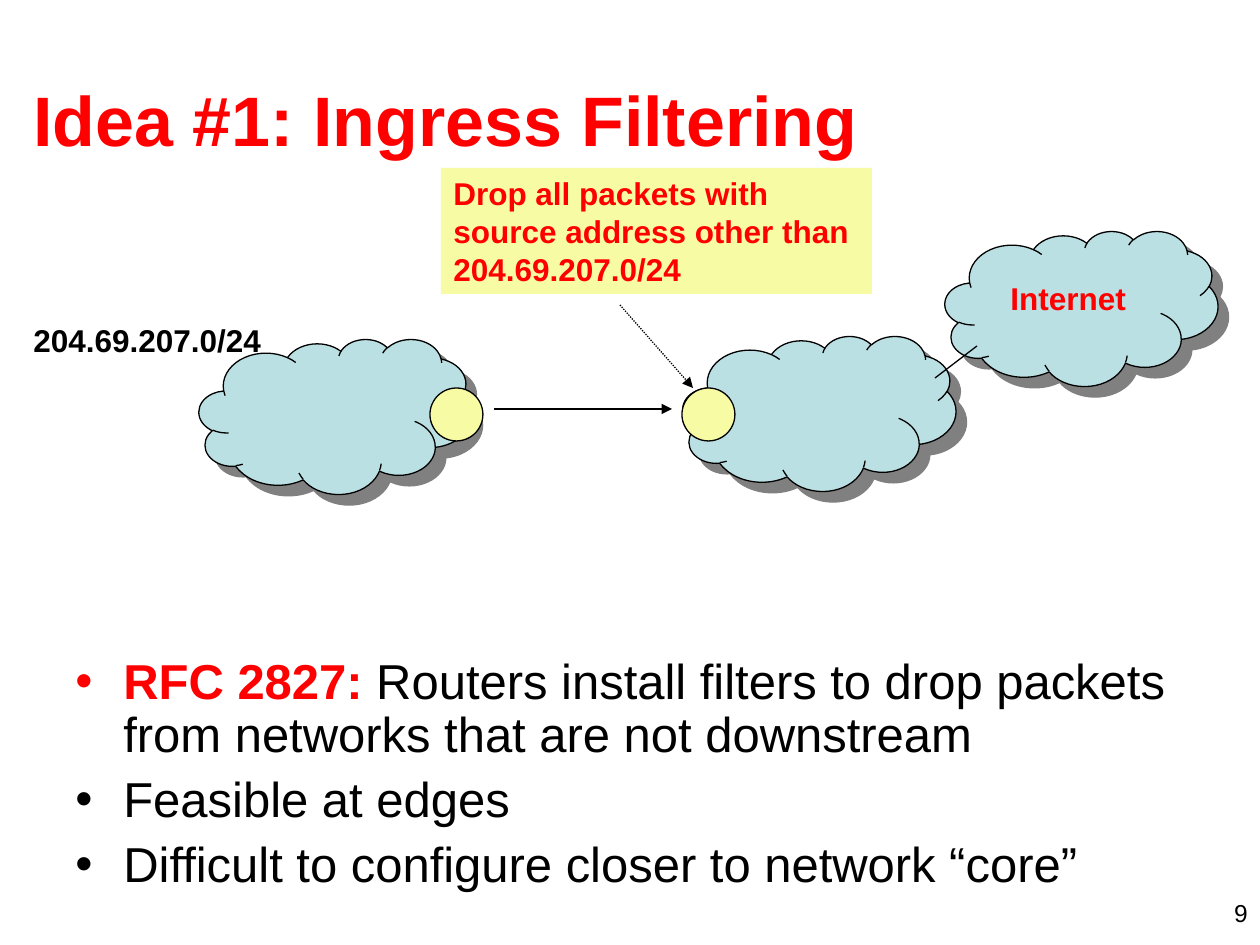
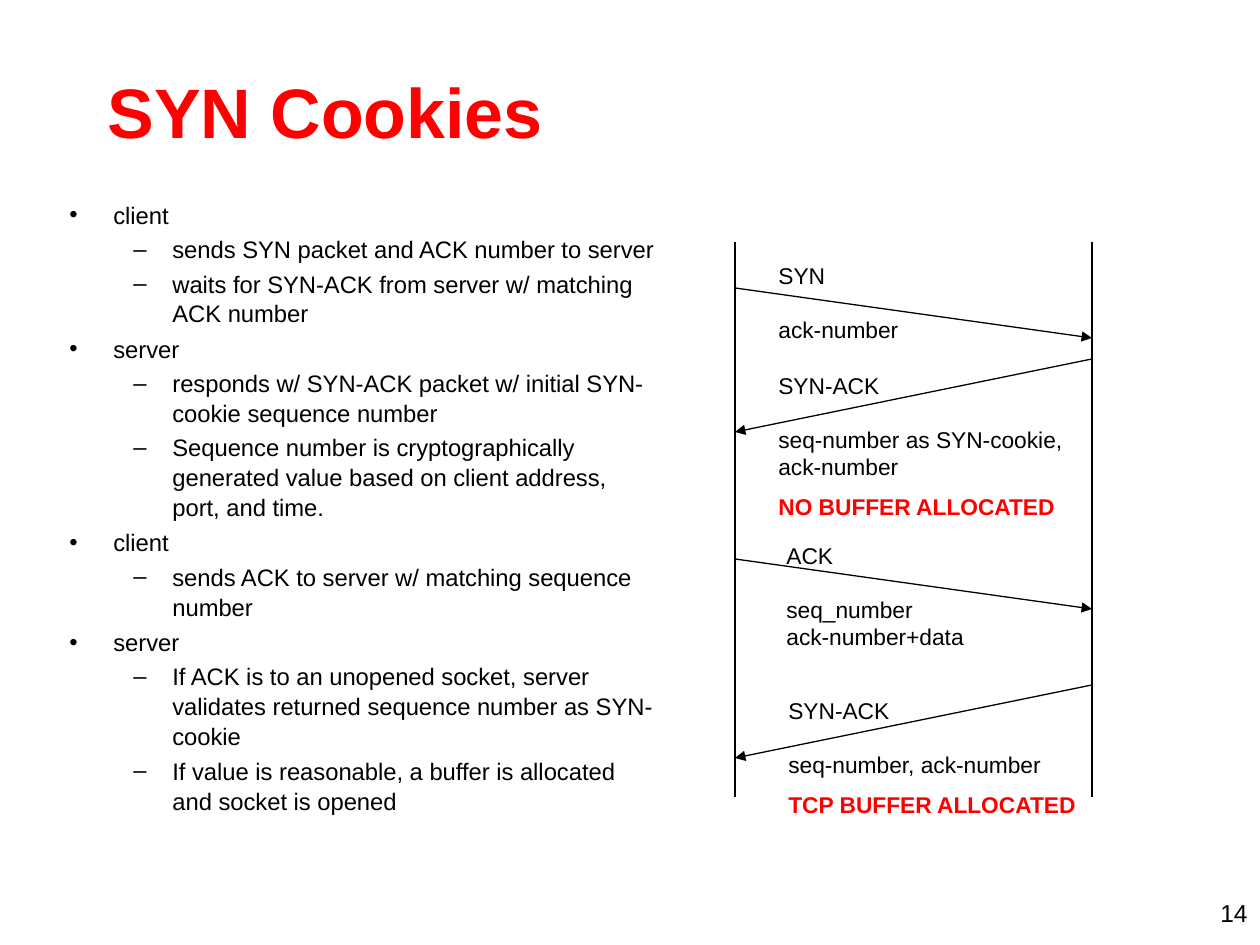
from lxml.etree import SubElement
from pptx import Presentation
from pptx.dml.color import RGBColor
from pptx.enum.dml import MSO_LINE
from pptx.enum.shapes import MSO_CONNECTOR, MSO_SHAPE
from pptx.enum.text import MSO_ANCHOR, PP_ALIGN
from pptx.oxml.ns import qn
from pptx.util import Emu, Pt

PX = 914400 / 126
FONT = "Arial"
RED = RGBColor(0xFF, 0x00, 0x00)
BLACK = RGBColor(0x00, 0x00, 0x00)
CLOUD_BLUE = RGBColor(0xBB, 0xE0, 0xE3)
PALE_YELLOW = RGBColor(0xF7, 0xFB, 0xA3)
SHADOW_GREY = RGBColor(0x80, 0x80, 0x80)

CLOUD_SIZE = (273, 155)
ROUTER_SIZE = (53, 53)
CLIENT_X, SERVER_X = 735, 1092

FILTERING_POINTS = [
    "RFC 2827:",
    "Feasible at edges",
    "Difficult to configure closer to network “core”",
]
RFC_SUMMARY = " Routers install filters to drop packets from networks that are not downstream"

HANDSHAKE_STEPS = [
    ("client", [
        "sends SYN packet and ACK number to server",
        "waits for SYN-ACK from server w/ matching ACK number",
    ]),
    ("server", [
        "responds w/ SYN-ACK packet w/ initial SYN-cookie sequence number",
        "Sequence number is cryptographically generated value based on client address, "
        "port, and time.",
    ]),
    ("client", ["sends ACK to server w/ matching sequence number"]),
    ("server", [
        "If ACK is to an unopened socket, server validates returned sequence number "
        "as SYN-cookie",
        "If value is reasonable, a buffer is allocated and socket is opened",
    ]),
]

MESSAGES = [
    ((766, 258, 158, 92), "SYN", ["ack-number"], None),
    ((766, 368, 325, 159), "SYN-ACK", ["seq-number as SYN-cookie,", "ack-number"],
     "NO BUFFER ALLOCATED"),
    ((774, 538, 243, 120), "ACK", ["seq_number", "ack-number+data"], None),
    ((776, 693, 326, 132), "SYN-ACK", ["seq-number, ack-number"], "TCP BUFFER ALLOCATED"),
]


def px(*lengths):
    """Turn px lengths into a list of EMU lengths."""
    return [Emu(round(length * PX)) for length in lengths]


def style_paragraph(para, size, color=BLACK, bold=False):
    """Format every run of a paragraph."""
    for span in para.runs:
        span.font.name = FONT
        span.font.size = Pt(size)
        span.font.bold = bold
        span.font.color.rgb = color


def fill_frame(frame, lines, size, color=BLACK, bold=False, align=PP_ALIGN.LEFT):
    """Write one paragraph per line in a wrapped frame and format them."""
    frame.word_wrap = True
    frame.text = "\n".join(lines)
    for para in frame.paragraphs:
        para.alignment = align
        style_paragraph(para, size, color, bold)
    return frame.paragraphs


def add_text(page, bounds, lines, size, **style):
    """Add a text box and return its paragraphs."""
    box = page.shapes.add_textbox(*px(*bounds))
    return fill_frame(box.text_frame, lines, size, **style)


def add_bullet(para, mark, margin, hanging, color=BLACK):
    """Give a paragraph a hanging bullet."""
    properties = para._p.get_or_add_pPr()
    margin, hanging = px(margin, hanging)
    properties.set("marL", str(margin))
    properties.set("indent", str(-hanging))
    bullet_color = SubElement(properties, qn("a:buClr"))
    SubElement(bullet_color, qn("a:srgbClr"), val=str(color))
    SubElement(properties, qn("a:buFont"), typeface=FONT)
    SubElement(properties, qn("a:buChar"), char=mark)


def add_page(deck, title, bounds, number):
    """Add a title-only page with its heading and page number."""
    page = deck.slides.add_slide(deck.slide_layouts[5])
    heading = page.shapes.title
    heading.left, heading.top, heading.width, heading.height = px(*bounds)
    heading.text_frame.vertical_anchor = MSO_ANCHOR.MIDDLE
    fill_frame(heading.text_frame, [title], 40, color=RED, bold=True)
    add_text(page, (966, 892, 294, 32), [str(number)], 14, align=PP_ALIGN.RIGHT)
    return page


def add_filled(page, kind, bounds, fill, outlined=True):
    """Add a flat preset shape, with a thin black outline if wanted."""
    shape = page.shapes.add_shape(kind, *px(*bounds))
    shape.shadow.inherit = False
    shape.fill.solid()
    shape.fill.fore_color.rgb = fill
    if outlined:
        shape.line.color.rgb = BLACK
        shape.line.width = Pt(0.75)
    else:
        shape.line.fill.background()
    return shape


def add_cloud(page, left, top):
    """Add a network cloud with a hard grey shadow."""
    cloud = add_filled(page, MSO_SHAPE.CLOUD, (left, top, *CLOUD_SIZE), CLOUD_BLUE)
    effects = cloud._element.spPr.find(qn("a:effectLst"))
    shadow = SubElement(effects, qn("a:outerShdw"), dist=str(Pt(8.5)), dir="2700000",
                        algn="ctr", rotWithShape="0")
    SubElement(shadow, qn("a:srgbClr"), val=str(SHADOW_GREY))


def add_router(page, left, top):
    """Add a round edge router."""
    add_filled(page, MSO_SHAPE.OVAL, (left, top, *ROUTER_SIZE), PALE_YELLOW)


def add_line(page, start, end, arrow=False, dotted=False):
    """Add a thin black line, optionally dotted or with an arrowhead."""
    line = page.shapes.add_connector(MSO_CONNECTOR.STRAIGHT, *px(*start, *end))
    line.line.color.rgb = BLACK
    line.line.width = Pt(0.75)
    if dotted:
        line.line.dash_style = MSO_LINE.ROUND_DOT
    if arrow:
        SubElement(line.line._get_or_add_ln(), qn("a:tailEnd"), type="triangle")
    SubElement(line._element.spPr, qn("a:effectLst"))


def add_message(page, bounds, name, fields, outcome):
    """Add a packet name, its fields below the arrow and a red outcome."""
    lines = [name, *fields] + ([outcome] if outcome else [])
    paragraphs = add_text(page, bounds, lines, 13)
    paragraphs[0].line_spacing = 0.93
    paragraphs[1].space_before = Pt(15)
    if outcome:
        paragraphs[-1].space_before = Pt(7)
        style_paragraph(paragraphs[-1], 13, RED, bold=True)


def add_filtering_points(page):
    """Add the bulleted notes about ingress filtering."""
    paragraphs = add_text(page, (63, 651, 1134, 262), FILTERING_POINTS, 28)
    for index, para in enumerate(paragraphs):
        add_bullet(para, "•", 48, 48, BLACK if index else RED)
        para.line_spacing = 0.9
        if index:
            para.space_before = Pt(7)
    rfc = paragraphs[0]
    rfc.add_run().text = RFC_SUMMARY
    style_paragraph(rfc, 28)
    rfc.runs[0].font.bold = True
    rfc.runs[0].font.color.rgb = RED


def add_handshake_steps(page):
    """Add the two-level list of client and server steps."""
    steps = []
    for party, actions in HANDSHAKE_STEPS:
        steps += [(party, 0)] + [(action, 1) for action in actions]
    paragraphs = add_text(page, (42, 193, 630, 658), [text for text, level in steps], 13.6)
    for index, (para, (text, level)) in enumerate(zip(paragraphs, steps)):
        para.level = level
        if level:
            add_bullet(para, "–", 118, 39)
        else:
            add_bullet(para, "•", 59, 44)
        para.line_spacing = 1.05
        if index:
            para.space_before = Pt(2.5 if level else 3)


def build_filtering_page(deck):
    """Build the page on ingress filtering."""
    page = add_page(deck, "Idea #1: Ingress Filtering", (21, 40, 1207, 158), 9)
    add_filtering_points(page)
    add_cloud(page, 199, 339)
    add_text(page, (21, 315, 262, 50), ["204.69.207.0/24"], 18, bold=True)
    add_router(page, 430, 388)
    add_cloud(page, 683, 336)
    add_router(page, 682, 388)
    add_line(page, (494, 409), (672, 409), arrow=True)
    add_cloud(page, 945, 231)
    add_text(page, (998, 273, 210, 50), ["Internet"], 18, color=RED, bold=True)
    add_line(page, (935, 378), (977, 346))
    add_line(page, (620, 305), (693, 388), arrow=True, dotted=True)
    rule = add_filled(page, MSO_SHAPE.RECTANGLE, (441, 168, 431, 126), PALE_YELLOW,
                      outlined=False)
    rule.text_frame.vertical_anchor = MSO_ANCHOR.TOP
    fill_frame(rule.text_frame,
               ["Drop all packets with source address other than 204.69.207.0/24"],
               18, color=RED, bold=True)


def build_cookies_page(deck):
    """Build the page on SYN cookies."""
    page = add_page(deck, "SYN Cookies", (95, 32, 1071, 158), 14)
    add_handshake_steps(page)
    for timeline_x in (CLIENT_X, SERVER_X):
        add_line(page, (timeline_x, 242), (timeline_x, 797))
    for sent, received in ((288, 338), (559, 609)):
        add_line(page, (CLIENT_X, sent), (SERVER_X, received), arrow=True)
    for sent, received in ((359, 432), (685, 758)):
        add_line(page, (SERVER_X, sent), (CLIENT_X, received), arrow=True)
    for message in MESSAGES:
        add_message(page, *message)


def main():
    """Build and save the deck."""
    deck = Presentation()
    deck.slide_width, deck.slide_height = px(1260, 945)
    build_filtering_page(deck)
    build_cookies_page(deck)
    deck.save("out.pptx")


if __name__ == "__main__":
    main()
